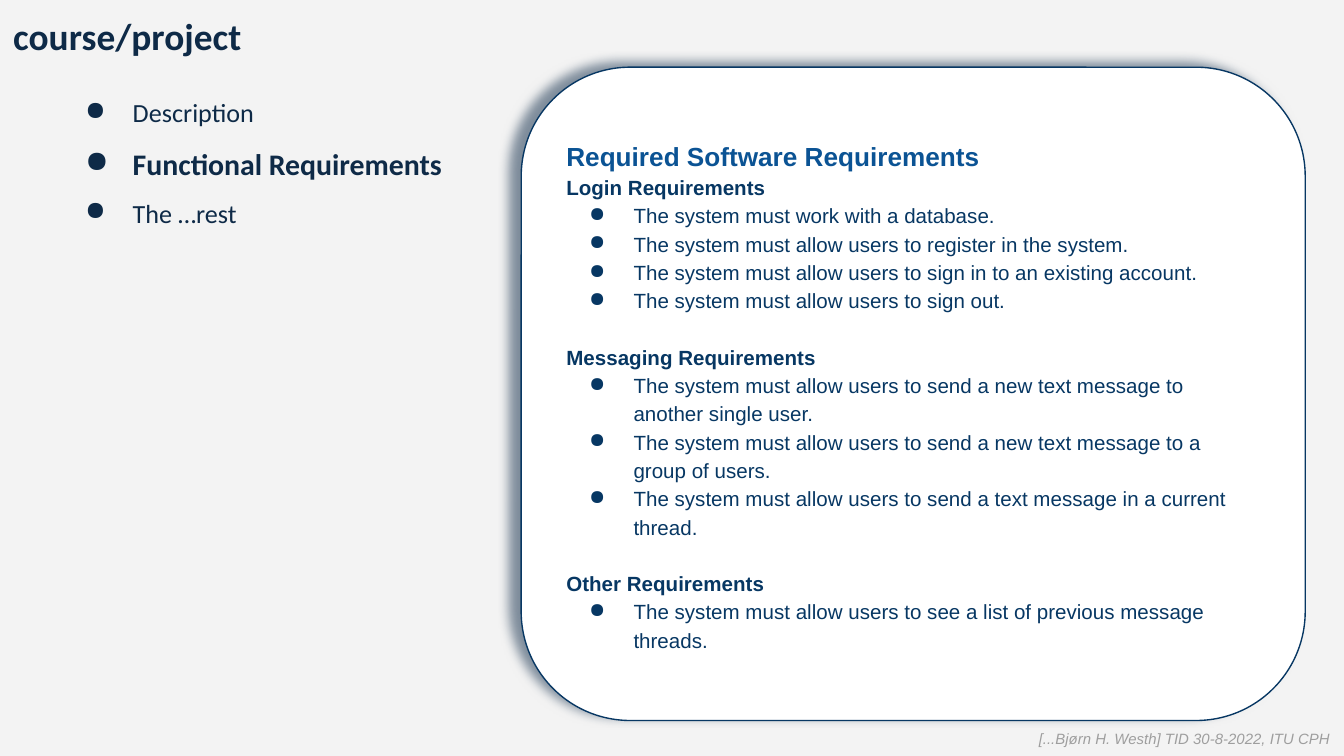
from dataclasses import dataclass

from lxml.etree import SubElement
from pptx import Presentation
from pptx.dml.color import RGBColor as Color
from pptx.enum.shapes import MSO_SHAPE as Shape
from pptx.enum.text import MSO_ANCHOR as Anchor, MSO_AUTO_SIZE as AutoSize, PP_ALIGN as Align
from pptx.oxml.ns import qn
from pptx.util import Pt


@dataclass(frozen=True)
class Theme:
    background: str = "F3F3F3"
    card: str = "FFFFFF"
    ink: str = "0E2A47"
    navy: str = "073763"
    heading: str = "0B5394"
    muted: str = "9E9E9E"
    title_size: int = 20
    active_size: int = 16
    large_size: int = 14
    body_size: int = 11
    footer_size: int = 8


theme = Theme()


def add_text(frame, text, font, size, color, bold=False, italic=False,
             line_spacing=1.0, before=0, hanging=0):
    """Append a paragraph; a hanging indent also gives it a round bullet."""
    first = frame.paragraphs[0]
    para = first if not first.runs else frame.add_paragraph()
    para.alignment = Align.LEFT
    para.line_spacing = line_spacing
    para.space_before = Pt(before)
    if hanging:
        props = para._p.get_or_add_pPr()
        props.set("marL", str(Pt(36)))
        props.set("indent", str(-Pt(hanging)))
        bullet_color = SubElement(props, qn("a:buClr"))
        SubElement(bullet_color, qn("a:srgbClr"), val=color)
        SubElement(props, qn("a:buChar"), char="●")
    span = para.add_run()
    span.text = text
    style = {"name": font, "size": Pt(size), "bold": bold, "italic": italic}
    for name, value in style.items():
        setattr(span.font, name, value)
    span.font.color.rgb = Color.from_string(color)


def prepare_frame(box, anchor=Anchor.TOP):
    frame = box.text_frame
    layout = {"word_wrap": True, "vertical_anchor": anchor, "margin_left": Pt(7.2),
              "margin_top": Pt(7.2), "margin_right": Pt(7.2), "margin_bottom": Pt(7.2)}
    for name, value in layout.items():
        setattr(frame, name, value)
    return frame


deck = Presentation()
deck.slide_width, deck.slide_height = Pt(720), Pt(405)
page = deck.slides.add_slide(deck.slide_layouts[6])
page.background.fill.solid()
page.background.fill.fore_color.rgb = Color.from_string(theme.background)

# Title
title = page.shapes.add_textbox(Pt(0), Pt(0), Pt(720), Pt(36))
add_text(prepare_frame(title), "course/project", "Calibri", theme.title_size, theme.ink, bold=True)

# Agenda
agenda = page.shapes.add_shape(Shape.RECTANGLE, Pt(28), Pt(36), Pt(242), Pt(350))
agenda.shadow.inherit = False
agenda.fill.solid()
agenda.fill.fore_color.rgb = Color.from_string(theme.background)
agenda.line.fill.background()
frame = prepare_frame(agenda)
for topic in ("Description", "Functional Requirements", "The …rest"):
    active = topic == "Functional Requirements"
    add_text(frame, topic, "Calibri", theme.active_size if active else theme.large_size,
             theme.ink, bold=active, line_spacing=1.5, hanging=25.5)

# Requirements card with a soft shadow to its left
card = page.shapes.add_shape(Shape.ROUNDED_RECTANGLE, Pt(279.2), Pt(36), Pt(420), Pt(350))
card.adjustments[0] = 0.167
card.fill.solid()
card.fill.fore_color.rgb = Color.from_string(theme.card)
card.line.color.rgb = Color.from_string(theme.navy)
card.line.width = Pt(0.75)
card.shadow.inherit = False
effects = card._element.spPr.find(qn("a:effectLst"))
shadow = SubElement(effects, qn("a:outerShdw"), blurRad=str(Pt(5.6)), dist=str(Pt(6.8)),
                    dir=str(199 * 60000), algn="bl", rotWithShape="0")
shadow_color = SubElement(shadow, qn("a:srgbClr"), val=theme.ink)
SubElement(shadow_color, qn("a:alpha"), val="51000")

requirements = {
    "Login Requirements": (
        "The system must work with a database.",
        "The system must allow users to register in the system.",
        "The system must allow users to sign in to an existing account.",
        "The system must allow users to sign out.",
    ),
    "Messaging Requirements": (
        "The system must allow users to send a new text message to another single user.",
        "The system must allow users to send a new text message to a group of users.",
        "The system must allow users to send a text message in a current thread.",
    ),
    "Other Requirements": (
        "The system must allow users to see a list of previous message threads.",
    ),
}
frame = prepare_frame(card, Anchor.MIDDLE)
add_text(frame, "Required Software Requirements", "Arial", theme.large_size, theme.heading,
         bold=True, line_spacing=1.15)
for number, (group, items) in enumerate(requirements.items()):
    add_text(frame, group, "Arial", theme.body_size, theme.navy, bold=True,
             line_spacing=1.15, before=15.15 if number else 0)
    for item in items:
        add_text(frame, item, "Arial", theme.body_size, theme.navy,
                 line_spacing=1.15, hanging=23.8)

# Footer
footer = page.shapes.add_textbox(Pt(549.4), Pt(386), Pt(178), Pt(24.5))
frame = prepare_frame(footer)
frame.auto_size = AutoSize.SHAPE_TO_FIT_TEXT
add_text(frame, "[...Bjørn H. Westh] TID 30-8-2022, ITU CPH", "Arial", theme.footer_size,
         theme.muted, italic=True)

deck.save("out.pptx")
